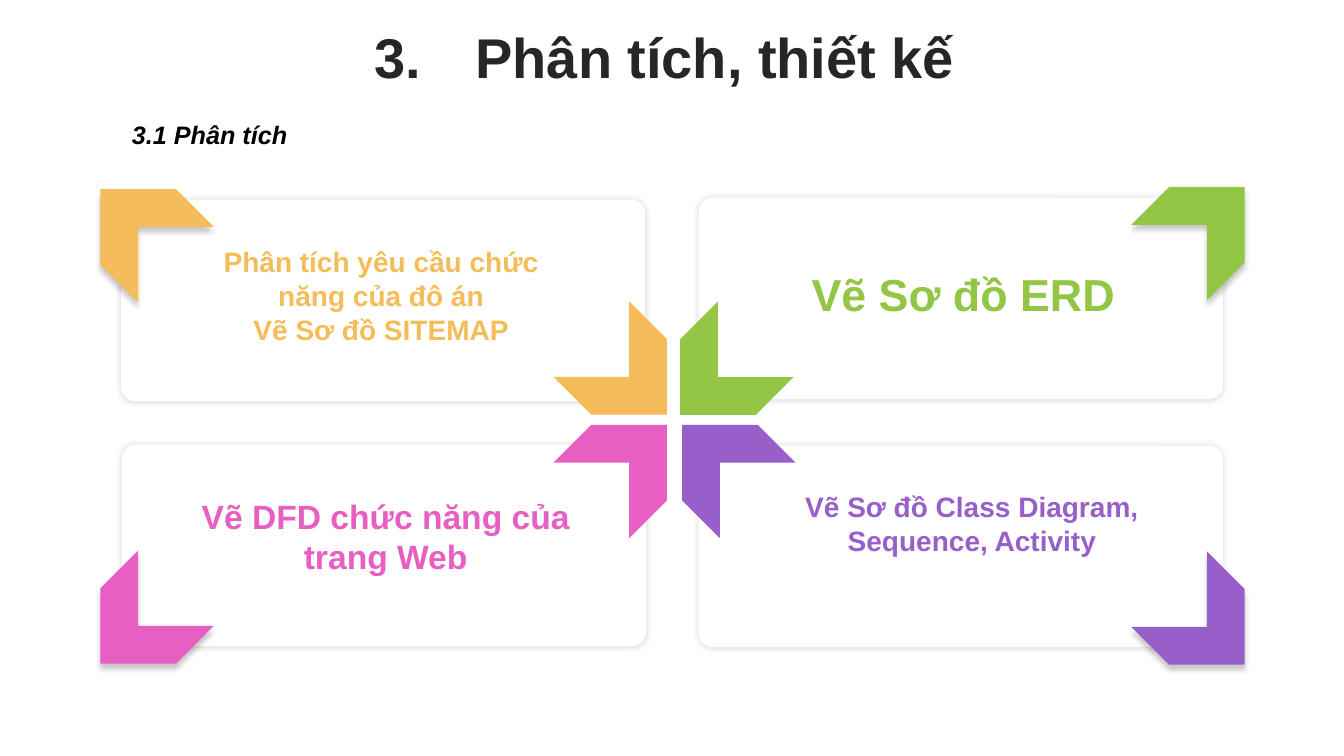
from pptx import Presentation
from pptx.dml.color import RGBColor
from pptx.enum.shapes import MSO_SHAPE
from pptx.enum.text import MSO_ANCHOR, MSO_AUTO_SIZE, PP_ALIGN
from pptx.oxml import parse_xml
from pptx.oxml.ns import nsdecls, qn
from pptx.util import Inches, Pt

ROUNDED, CHEVRON = MSO_SHAPE.ROUNDED_RECTANGLE, MSO_SHAPE.CHEVRON
CENTER, LEFT = PP_ALIGN.CENTER, PP_ALIGN.LEFT
MIDDLE, GROW = MSO_ANCHOR.MIDDLE, MSO_AUTO_SIZE.SHAPE_TO_FIT_TEXT

TITLE = "3.\tPhân tích, thiết kế"
SUBTITLE = "3.1 Phân tích"
CARD_W, CARD_H, CHEVRON_SIZE = 5.2, 2, 1.06
CARD_SHADOW = {"alpha": 14, "blur": 5, "dist": 0, "angle": 0}
CHEVRON_SHADOW = {"alpha": 22, "blur": 4, "dist": 4, "angle": 90}

CARDS = [
    {"color": "E85FC4", "card": (1.21, 4.41), "inner": (5.71, 4.06), "outer": (0.84, 5.68),
     "turn": 315, "box": (1.9, 4.87, 3.85, 0.91), "size": 24,
     "lines": ["Vẽ DFD chức năng của trang Web"]},
    {"color": "F4BD59", "card": (1.2, 1.98), "inner": (5.71, 3.21), "outer": (0.84, 1.72),
     "turn": 45, "box": (1.79, 2.38, 3.98, 1.11), "size": 20,
     "lines": ["Phân tích yêu cầu chức năng của đô án", "Vẽ Sơ đồ SITEMAP"]},
    {"color": "92C644", "card": (6.93, 1.96), "inner": (6.59, 3.21), "outer": (11.44, 1.7),
     "turn": 135, "box": (7.63, 2.6, 3.85, 0.64), "size": 32,
     "lines": ["Vẽ Sơ đồ ERD"]},
    {"color": "985ECA", "card": (6.93, 4.42), "inner": (6.61, 4.06), "outer": (11.44, 5.69),
     "turn": 225, "box": (7.59, 4.81, 4.1, 0.77), "size": 20,
     "lines": ["Vẽ Sơ đồ Class Diagram, Sequence, Activity"]},
]


def rgb(value):
    return RGBColor.from_string(value)


def format_paragraph(p, text, size, color, align=CENTER, italic=False):
    p.text = text
    p.alignment = align
    font = {"name": "Arial", "size": Pt(size), "bold": True, "italic": italic}
    for r in p.runs:
        for name, value in font.items():
            setattr(r.font, name, value)
        r.font.color.rgb = rgb(color)


def add_text(slide, box, lines, size, color, **style):
    tf = slide.shapes.add_textbox(*map(Inches, box)).text_frame
    tf.word_wrap = True
    tf.auto_size = GROW
    for i, line in enumerate(lines):
        p = tf.add_paragraph() if i else tf.paragraphs[0]
        format_paragraph(p, line, size, color, **style)


def add_shape(slide, kind, at, size, color, turn=0, shadow=None):
    sp = slide.shapes.add_shape(kind, *map(Inches, (*at, *size)))
    sp.rotation = turn % 360
    sp.fill.solid()
    sp.fill.fore_color.rgb = rgb(color)
    sp.line.fill.background()
    sp.shadow.inherit = False
    if shadow:
        sp._element.spPr.find(qn("a:effectLst")).append(parse_xml(
            f'<a:outerShdw {nsdecls("a")} blurRad="{Pt(shadow["blur"])}" '
            f'dist="{Pt(shadow["dist"])}" dir="{shadow["angle"] * 60000}" '
            f'algn="ctr" rotWithShape="0"><a:srgbClr val="000000">'
            f'<a:alpha val="{shadow["alpha"] * 1000}"/></a:srgbClr></a:outerShdw>'))
    return sp


def add_title(slide):
    title = slide.shapes.title
    title.left, title.top, title.width, title.height = map(Inches, (0.26, 0.2, 12.66, 0.79))
    tf = title.text_frame
    tf.word_wrap = True
    tf.vertical_anchor = MIDDLE
    p = tf.paragraphs[0]
    p._p.get_or_add_pPr().append(parse_xml(
        f'<a:tabLst {nsdecls("a")}><a:tab pos="{Inches(1)}" algn="l"/></a:tabLst>'))
    format_paragraph(p, TITLE, 40, "262626")
    p.line_spacing = 0.9


def main():
    prs = Presentation()
    prs.slide_width, prs.slide_height = Inches(13.33), Inches(7.5)
    slide = prs.slides.add_slide(prs.slide_layouts[5])
    add_title(slide)
    square = (CHEVRON_SIZE, CHEVRON_SIZE)
    for c in CARDS:
        card = add_shape(slide, ROUNDED, c["card"], (CARD_W, CARD_H), "FFFFFF", shadow=CARD_SHADOW)
        card.adjustments[0] = 0.07
        add_shape(slide, CHEVRON, c["inner"], square, c["color"], c["turn"])
        add_shape(slide, CHEVRON, c["outer"], square, c["color"], c["turn"] + 180, CHEVRON_SHADOW)
    for c in CARDS:
        add_text(slide, c["box"], c["lines"], c["size"], c["color"])
    add_text(slide, (1.21, 1.13, 2.49, 0.4), [SUBTITLE], 18, "000000", align=LEFT, italic=True)
    prs.save("out.pptx")


if __name__ == "__main__":
    main()
